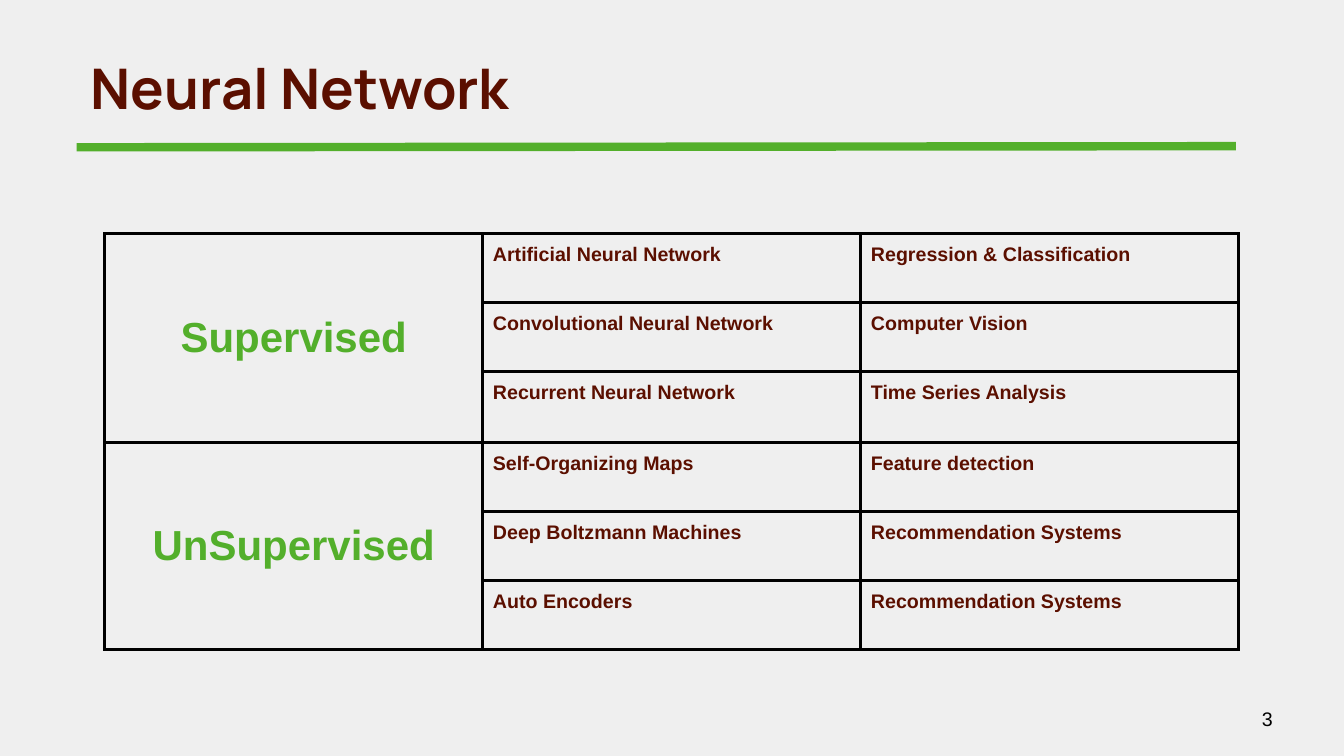
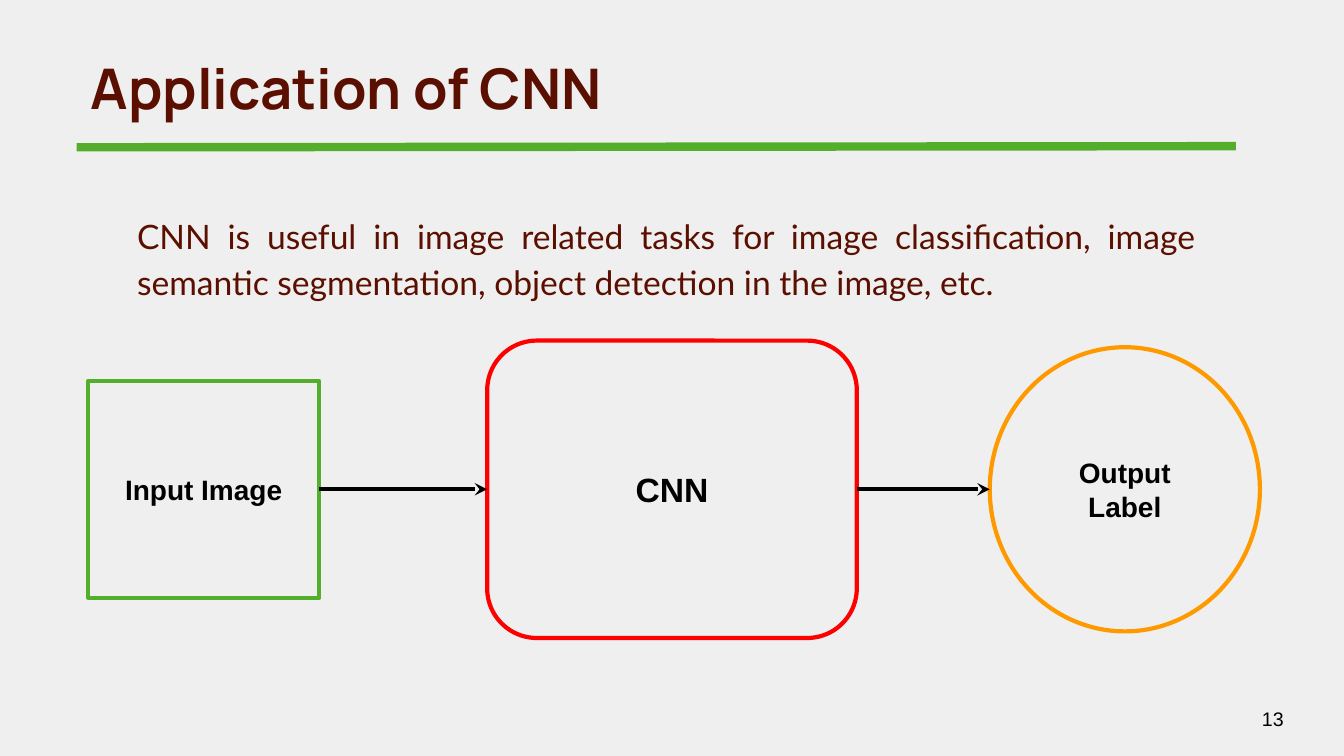
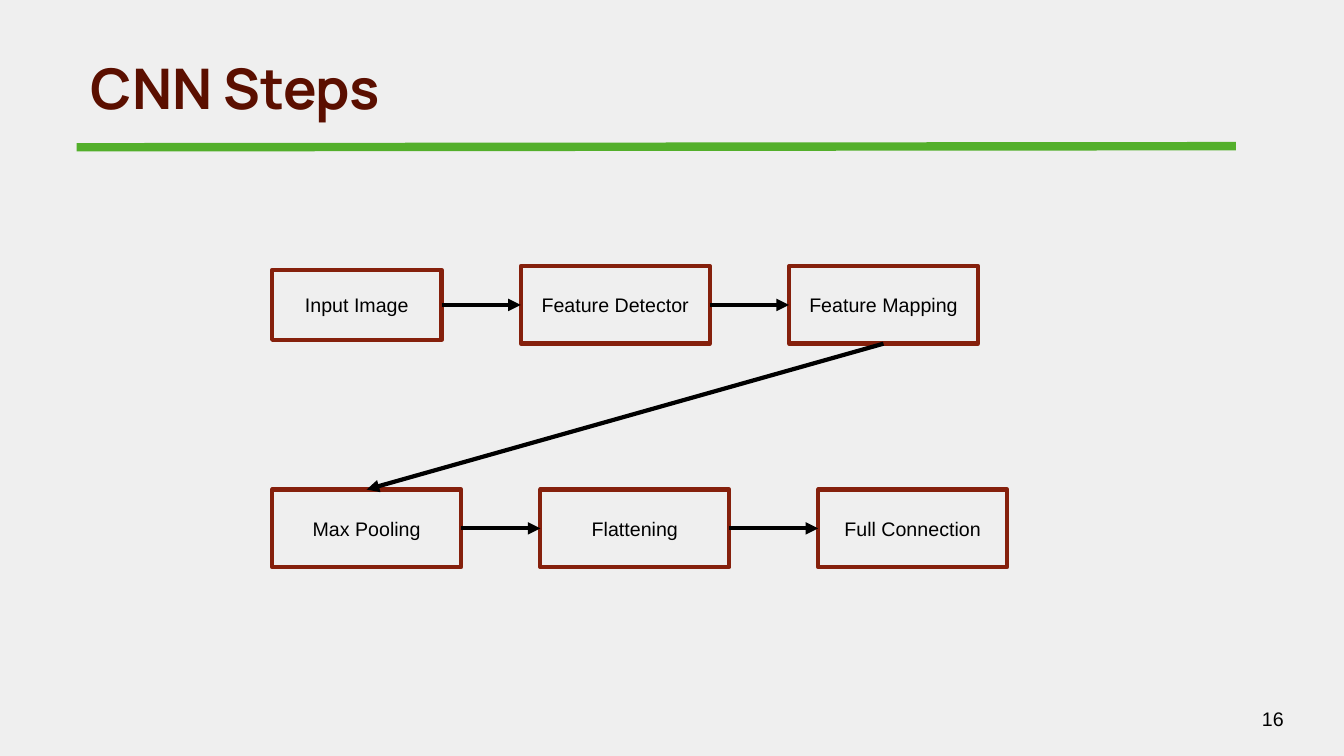
import pptx
import pptx.util
import pptx.dml.color
import pptx.enum.shapes
import pptx.enum.text
import pptx.oxml

Pt = pptx.util.Pt
Form = pptx.enum.shapes.MSO_SHAPE
Side = pptx.enum.text.PP_ALIGN
Hold = pptx.enum.text.MSO_ANCHOR
SPACE = 'xmlns:a="http://schemas.openxmlformats.org/drawingml/2006/main"'


def hue(code):
    return pptx.dml.color.RGBColor.from_string(code)


def node(tag, rest="", inner=""):
    return pptx.oxml.parse_xml(f"<a:{tag} {SPACE} {rest}>{inner}</a:{tag}>")


class Deck:
    """Holds the shared style and the slide being built."""

    back = "EFEFEF"
    green = "53AF2B"
    brown = "5B0F00"
    rust = "85200C"
    black = "000000"
    red = "FF0000"
    gold = "FF9900"
    font = "Arial"
    wide = 9.36
    slim = 7.2

    def __init__(self):
        self.show = pptx.Presentation()
        self.show.slide_width = Pt(960)
        self.show.slide_height = Pt(540)

    def page(self, title, number):
        self.slide = self.show.slides.add_slide(self.show.slide_layouts[6])
        fill = self.slide.background.fill
        fill.solid()
        fill.fore_color.rgb = hue(self.back)
        self.line(54.72, 105.2, 882.72, 104.4, self.green, 6)
        self.text(title, 55.44, 28.8, 827.28, 66.96, 40, self.brown, "Manrope", bold=True)
        self.text(number, 892.08, 492.48, 57.6, 41.04, 14, self.black, hold=Hold.MIDDLE)

    def style(self, frame, text, size, color, font=None, bold=False, side=Side.LEFT):
        frame.text = text
        frame.word_wrap = True
        par = frame.paragraphs[0]
        par.alignment = side
        for run in par.runs:
            run.font.name = font or self.font
            run.font.size = Pt(size)
            run.font.bold = bold
            run.font.color.rgb = hue(color)
        return par

    def inset(self, part, pad, hold):
        part.margin_left = part.margin_right = Pt(pad)
        part.margin_top = part.margin_bottom = Pt(pad)
        part.vertical_anchor = hold

    def text(self, text, x, y, w, h, size, color, font=None, bold=False,
             side=Side.LEFT, hold=Hold.TOP):
        frame = self.slide.shapes.add_textbox(Pt(x), Pt(y), Pt(w), Pt(h)).text_frame
        self.inset(frame, self.wide, hold)
        return self.style(frame, text, size, color, font, bold, side)

    def box(self, text, x, mid, w, h, color, size=14, bold=False, form=Form.RECTANGLE):
        shape = self.slide.shapes.add_shape(form, Pt(x), Pt(mid - h / 2), Pt(w), Pt(h))
        shape.shadow.inherit = False
        shape.fill.background()
        shape.line.color.rgb = hue(color)
        shape.line.width = Pt(3)
        shape.line._get_or_add_ln().append(node("round"))
        self.inset(shape.text_frame, self.slim, Hold.MIDDLE)
        self.style(shape.text_frame, text, size, self.black, bold=bold, side=Side.CENTER)
        return shape

    def line(self, x1, y1, x2, y2, color, width, head=None):
        line = self.slide.shapes.add_connector(
            pptx.enum.shapes.MSO_CONNECTOR.STRAIGHT, Pt(x1), Pt(y1), Pt(x2), Pt(y2))
        line.line.color.rgb = hue(color)
        line.line.width = Pt(width)
        if head:
            line.line._get_or_add_ln().append(node("tailEnd", f'type="{head}"'))
        line._element.spPr.append(node("effectLst"))
        return line

    def link(self, start, end, head="triangle", leave=3, enter=1):
        line = self.line(0, 0, 0, 0, self.black, 3, head)
        line.begin_connect(start, leave)
        line.end_connect(end, enter)

    def chain(self, steps, mid):
        boxes = [self.box(text, x, mid, w, h, self.rust) for text, x, w, h in steps]
        for start, end in zip(boxes, boxes[1:]):
            self.link(start, end)
        return boxes

    def cell(self, cell, text, size, color, side=Side.LEFT, hold=Hold.TOP):
        self.inset(cell, self.slim, hold)
        self.style(cell.text_frame, text, size, color, bold=True, side=side)

    def grid(self, groups, x, y, wide, high):
        rows = sum(len(pairs) for _, pairs in groups)
        table = self.slide.shapes.add_table(
            rows, 3, Pt(x), Pt(y), Pt(wide * 3), Pt(high * rows)).table
        table.first_row = table.horz_banding = False
        for col in table.columns:
            col.width = Pt(wide)
        for row in table.rows:
            row.height = Pt(high)
        ink = f'<a:solidFill><a:srgbClr val="{self.black}"/></a:solidFill>'
        for cell in table.iter_cells():
            for edge in "LRTB":
                cell._tc.get_or_add_tcPr().append(node(f"ln{edge}", f'w="{Pt(2.25)}"', ink))
            cell.fill.background()
        top = 0
        for name, pairs in groups:
            head = table.cell(top, 0)
            head.merge(table.cell(top + len(pairs) - 1, 0))
            self.cell(head, name, 30, self.green, Side.CENTER, Hold.MIDDLE)
            for row, pair in enumerate(pairs, top):
                for col, text in enumerate(pair, 1):
                    self.cell(table.cell(row, col), text, 14, self.brown)
            top += len(pairs)


def main():
    deck = Deck()

    deck.page("Neural Network", "3")
    deck.grid([
        ("Supervised", [
            ("Artificial Neural Network", "Regression & Classification"),
            ("Convolutional Neural Network", "Computer Vision"),
            ("Recurrent Neural Network", "Time Series Analysis")]),
        ("UnSupervised", [
            ("Self-Organizing Maps", "Feature detection"),
            ("Deep Boltzmann Machines", "Recommendation Systems"),
            ("Auto Encoders", "Recommendation Systems")]),
    ], 74.88, 166.8, 270, 49.4)

    deck.page("Application of CNN", "13")
    par = deck.text(
        "CNN is useful in image related tasks for image classification, image semantic "
        "segmentation, object detection in the image, etc.",
        88.56, 140.4, 774.72, 315.36, 24, deck.brown, "Lato", side=Side.JUSTIFY)
    par.line_spacing = 1.15
    mid = 349.5
    image = deck.box("Input Image", 63, mid, 165, 154.8, deck.green, 20, True)
    core = deck.box("CNN", 348, mid, 264, 212.4, deck.red, 24, True, Form.ROUNDED_RECTANGLE)
    deck.box("Output Label", 707, mid, 192.96, 203, deck.gold, 20, True, Form.OVAL)
    deck.link(image, core, "stealth")
    deck.line(612, mid, 707, mid, deck.black, 3, "stealth").begin_connect(core, 3)

    deck.page("CNN Steps", "16")
    size = (135, 55.4)
    first = deck.chain([
        ("Input Image", 194.4, 121, 50),
        ("Feature Detector", 372, *size),
        ("Feature Mapping", 563.6, *size)], 217.8)
    last = deck.chain([
        ("Max Pooling", 194.4, *size),
        ("Flattening", 386, *size),
        ("Full Connection", 584.4, *size)], 377.4)
    deck.link(first[-1], last[0], leave=2, enter=0)

    deck.show.save("out.pptx")


if __name__ == "__main__":
    main()
